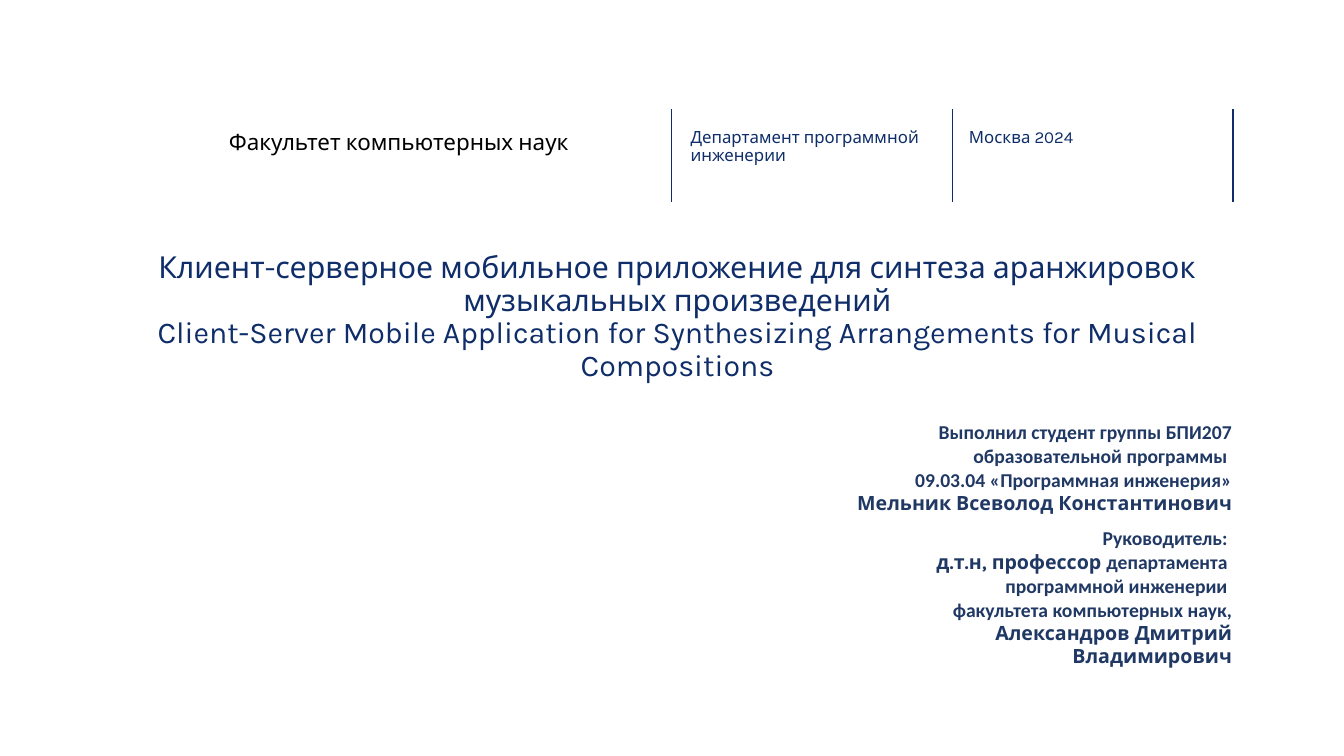
import copy

import pptx
import pptx.dml.color
import pptx.enum.shapes
import pptx.enum.text
import pptx.oxml
import pptx.util
from pptx.util import Inches

# Content
TITLE = ("Клиент-серверное мобильное приложение для синтеза аранжировок музыкальных произведений\n"
         "Client-Server Mobile Application for Synthesizing Arrangements for Musical Compositions")

# text, (left, top, width, height), size name, colour name
HEADER = [
    ("Факультет компьютерных наук", (2.27, 1.3, 4.21, 0.48), "faculty", "black"),
    ("Департамент программной инженерии", (6.85, 1.28, 2.49, 0.51), "small", "navy"),
    ("Москва 2024", (9.61, 1.28, 2.43, 0.51), "small", "navy"),
]

# One entry per table row: paragraphs made of (text, font name) spans
PEOPLE = [
    [
        [("Выполнил студент группы БПИ207", "plain")],
        [("образовательной программы ", "plain")],
        [("09.03.04 «Программная инженерия»", "plain")],
        [("Мельник Всеволод Константинович", "main")],
    ],
    [
        [("Руководитель: ", "plain")],
        [("д.т.н, профессор ", "main"),
         ("департамента \nпрограммной инженерии \nфакультета компьютерных наук,", "plain")],
        [("Александров Дмитрий Владимирович", "main")],
    ],
]

THEME = {
    "fonts": {"main": "Karla", "plain": "Calibri"},
    "colors": {"navy": "0E2D69", "rule": "102D69", "people": "203864", "black": "000000"},
    "sizes": {"title": 21.6, "faculty": 16, "small": 12, "people": 14},
}

# Layout
RULE_LEFT, RULE_STEP, RULE_COUNT = 6.66, 2.785, 3
RULE_TOP, RULE_BOTTOM = 1.08, 2
TITLE_AREA = (1.12, 2.39, 11.2, 1.52)
TABLE_LEFT, TABLE_TOP, COLUMN_WIDTH = 4.02, 4.13, 4.15
ROW_HEIGHTS = [1.05, 1.26]

ALIGN = pptx.enum.text.PP_ALIGN
ANCHOR = pptx.enum.text.MSO_ANCHOR


def color(name):
    return pptx.dml.color.RGBColor.from_string(THEME["colors"][name])


def write(para, text, *, size, tint, font="main", bold=False, align=ALIGN.LEFT, spacing=None):
    """Append text to a paragraph; a newline becomes a line break of the same format."""
    para.alignment = align
    if spacing:
        para.line_spacing = spacing
    for index, line in enumerate(text.split("\n")):
        if index:
            para.add_line_break()
            para._p[-1].append(copy.deepcopy(span._r.rPr))
        span = para.add_run()
        span.text = line
        span.font.name = THEME["fonts"][font]
        span.font.size = pptx.util.Pt(THEME["sizes"][size])
        span.font.bold = bold
        span.font.color.rgb = color(tint)


def add_text(page, text, area, anchor=ANCHOR.TOP, **style):
    frame = page.shapes.add_textbox(*map(Inches, area)).text_frame
    frame.word_wrap = True
    frame.vertical_anchor = anchor
    frame.margin_left = frame.margin_right = frame.margin_top = frame.margin_bottom = 0
    write(frame.paragraphs[0], text, spacing=0.9, **style)


def add_rules(page):
    for index in range(RULE_COUNT):
        x = Inches(RULE_LEFT + index * RULE_STEP)
        rule = page.shapes.add_connector(pptx.enum.shapes.MSO_CONNECTOR.STRAIGHT,
                                         x, Inches(RULE_TOP), x, Inches(RULE_BOTTOM))
        rule.line.color.rgb = color("rule")
        rule.line.width = pptx.util.Pt(1)
        rule._element.spPr.append(pptx.oxml.parse_xml(
            '<a:effectLst xmlns:a="http://schemas.openxmlformats.org/drawingml/2006/main"/>'))


def add_people(page):
    table = page.shapes.add_table(len(PEOPLE), 2, Inches(TABLE_LEFT), Inches(TABLE_TOP),
                                  Inches(2 * COLUMN_WIDTH), Inches(sum(ROW_HEIGHTS))).table
    table.first_row = table.horz_banding = False
    for row, height in zip(table.rows, ROW_HEIGHTS):
        row.height = Inches(height)
    for cell in table.iter_cells():
        cell.fill.background()
    for index, paragraphs in enumerate(PEOPLE):
        frame = table.cell(index, 1).text_frame
        for number, spans in enumerate(paragraphs):
            para = frame.add_paragraph() if number else frame.paragraphs[0]
            for text, font in spans:
                write(para, text, size="people", tint="people", font=font,
                      bold=True, align=ALIGN.RIGHT)


def main():
    deck = pptx.Presentation()
    deck.slide_width, deck.slide_height = Inches(13.33), Inches(7.5)
    page = deck.slides.add_slide(deck.slide_layouts[6])

    # Header
    add_rules(page)
    for text, area, size, tint in HEADER:
        add_text(page, text, area, size=size, tint=tint)

    # Title
    add_text(page, TITLE, TITLE_AREA, anchor=ANCHOR.MIDDLE,
             size="title", tint="navy", align=ALIGN.CENTER)

    # Student and supervisor
    add_people(page)
    deck.save("out.pptx")


if __name__ == "__main__":
    main()
